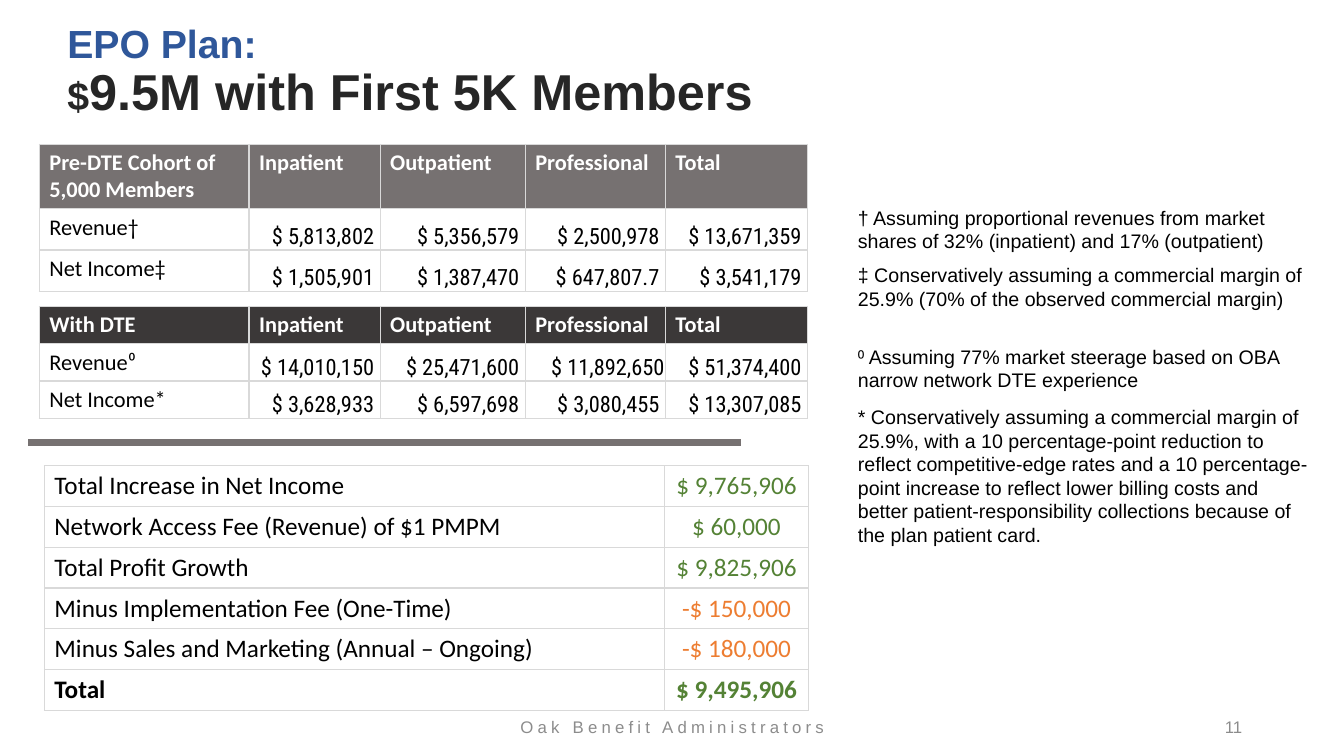
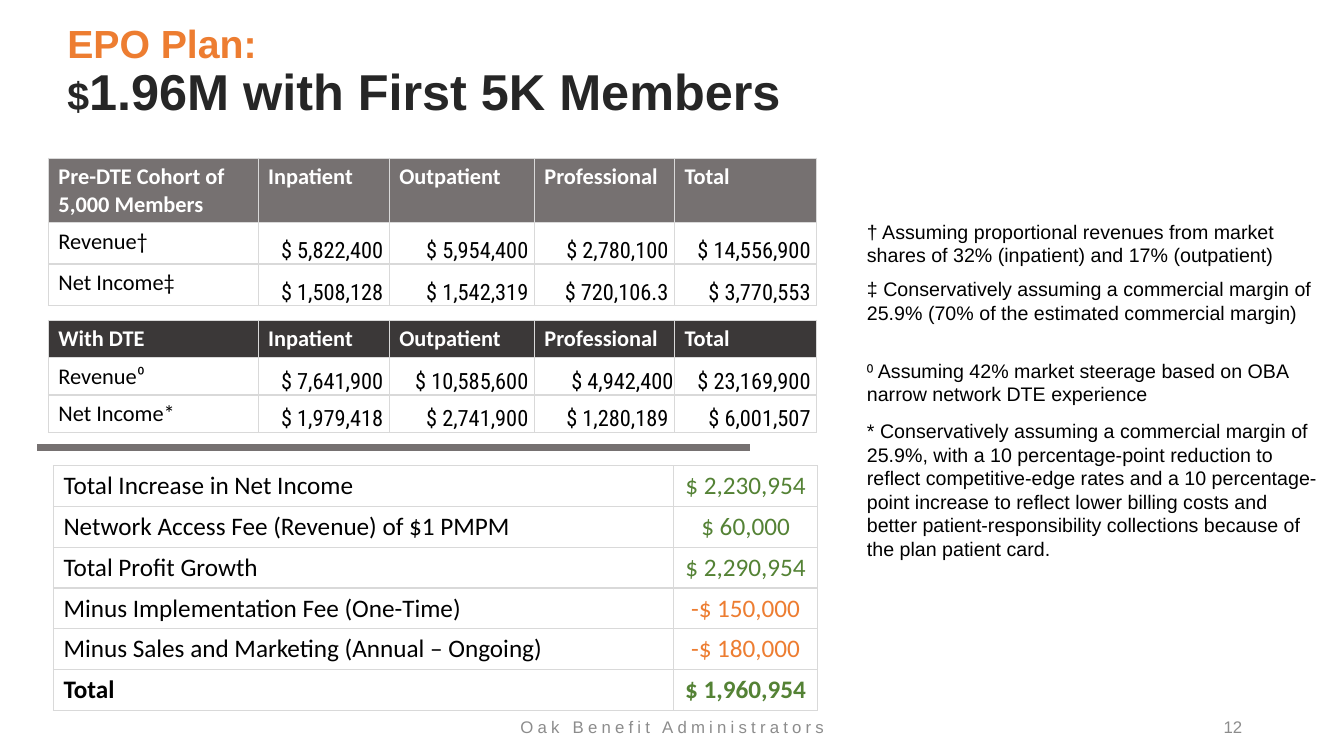
from lxml.etree import SubElement
from pptx import Presentation
from pptx.dml.color import RGBColor
from pptx.enum.shapes import MSO_CONNECTOR
from pptx.enum.text import MSO_ANCHOR, MSO_AUTO_SIZE, PP_ALIGN
from pptx.oxml import parse_xml
from pptx.oxml.ns import nsdecls, qn
from pptx.util import Inches, Pt

BLACK, WHITE, INK = "000000", "FFFFFF", "262626"
GRAY, CHARCOAL, BORDER, MUTED = "767171", "3B3838", "D9D9D9", "8C8C8C"
BLUE, ORANGE, GREEN = "2F579A", "ED7D31", "548235"
BODY, TABLE, FIGURES = "Arial", "Calibri", "Roboto Condensed"


def rgb(color):
    return RGBColor.from_string(color)


class Deck:
    def __init__(self):
        self.prs = Presentation()
        self.prs.slide_width, self.prs.slide_height = Inches(13.33), Inches(7.5)
        self.s = None

    def new_slide(self):
        self.s = self.prs.slides.add_slide(self.prs.slide_layouts[6])

    def run(self, p, text, size, color=BLACK, font=BODY, bold=False, spacing=None):
        r = p.add_run()
        r.text = text
        r.font.size, r.font.name, r.font.bold = Pt(size), font, bold
        r.font.color.rgb = rgb(color)
        if spacing:
            r.font._element.set("spc", str(spacing * 100))

    def box(self, x, y, w, h, align=PP_ALIGN.LEFT, anchor=MSO_ANCHOR.MIDDLE):
        tf = self.s.shapes.add_textbox(Inches(x), Inches(y), Inches(w), Inches(h)).text_frame
        tf.word_wrap = True
        tf.vertical_anchor = anchor
        p = tf.paragraphs[0]
        p.alignment = align
        return tf, p

    def title(self, amount, accent):
        _, p = self.box(0.57, 0, 12.56, 1.45)
        p.line_spacing = 0.9
        self.run(p, "EPO Plan:", 28, accent, bold=True)
        p.add_line_break()
        self.run(p, "$", 28, INK, bold=True)
        self.run(p, f"{amount} with First 5K Members", 36, INK, bold=True)

    def footer(self, number):
        _, p = self.box(4.42, 7.08, 4.5, 0.27, PP_ALIGN.CENTER)
        self.run(p, "Oak Benefit Administrators", 12, MUTED, spacing=3)
        _, p = self.box(9.42, 7.08, 3, 0.27, PP_ALIGN.RIGHT)
        self.run(p, str(number), 12, MUTED)

    def note(self, x, y, h, text):
        tf, p = self.box(x, y, 4.72, h, anchor=MSO_ANCHOR.TOP)
        tf.auto_size = MSO_AUTO_SIZE.SHAPE_TO_FIT_TEXT
        self.run(p, text, 14)

    def rule(self, x, y):
        line = self.s.shapes.add_connector(
            MSO_CONNECTOR.STRAIGHT, Inches(x), Inches(y), Inches(x + 7.07), Inches(y))
        line.line.color.rgb = rgb(GRAY)
        line.line.width = Pt(4.5)
        SubElement(line._element.spPr, qn("a:effectLst"))

    def grid(self, x, y, cols, rows):
        tbl = self.s.shapes.add_table(len(rows), len(cols), Inches(x), Inches(y),
                                      Inches(sum(cols)), Inches(sum(rows))).table
        tbl.first_row = tbl.horz_banding = False
        for col, w in zip(tbl.columns, cols):
            col.width = Inches(w)
        for row, h in zip(tbl.rows, rows):
            row.height = Inches(h)
        return tbl

    def cell(self, cell, text, size, color=BLACK, font=TABLE, bold=False,
             align=PP_ALIGN.LEFT, fill=None):
        if fill:
            cell.fill.solid()
            cell.fill.fore_color.rgb = rgb(fill)
        else:
            cell.fill.background()
        # Borders come before the fill in the cell properties
        for i, side in enumerate("LRTB"):
            cell._tc.get_or_add_tcPr().insert(i, parse_xml(
                f'<a:ln{side} {nsdecls("a")} w="12700"><a:solidFill>'
                f'<a:srgbClr val="{BORDER}"/></a:solidFill></a:ln{side}>'))
        p = cell.text_frame.paragraphs[0]
        p.alignment = align
        self.run(p, text, size, color, font, bold)

    def cohort_table(self, x, y, heights, fill, heading, rows, flush=None):
        """Figures by care setting; flush is the (row, column) set tight to its edge."""
        tbl = self.grid(x, y, [2.08, 1.3, 1.44, 1.39, 1.41], heights)
        header = [heading, "Inpatient", "Outpatient", "Professional", "Total"]
        for c, text in enumerate(header):
            self.cell(tbl.cell(0, c), text, 16, WHITE, bold=True, fill=fill)
        for r, (label, *figures) in enumerate(rows, 1):
            self.cell(tbl.cell(r, 0), label, 16)
            for c, figure in enumerate(figures, 1):
                cell = tbl.cell(r, c)
                cell.vertical_anchor = MSO_ANCHOR.BOTTOM
                cell.margin_left = cell.margin_top = Inches(0.01)
                cell.margin_right = Inches(0.01 if (r, c) == flush else 0.06)
                cell.margin_bottom = 0
                self.cell(cell, f"$ {figure}", 16, font=FIGURES, align=PP_ALIGN.RIGHT)

    def summary_table(self, x, y, rows):
        tbl = self.grid(x, y, [6.15, 1.43], [0.405] * len(rows))
        for r, (label, amount) in enumerate(rows):
            bold = label == "Total"
            color = ORANGE if amount.startswith("-") else GREEN
            self.cell(tbl.cell(r, 0), label, 18, bold=bold)
            self.cell(tbl.cell(r, 1), amount, 18, color, bold=bold, align=PP_ALIGN.CENTER)


def plan_slide(deck, number, amount, accent, dx, dy, rule_y, before, after,
               increase, growth, total, margin_basis, steerage):
    deck.new_slide()
    deck.footer(number)

    # Revenue and income before and with DTE
    labels = [("Revenue†", "Net Income‡"), ("Revenue⁰", "Net Income*")]
    pre_rows, dte_rows = [[(label, *figures) for label, figures in zip(names, data)]
                          for names, data in zip(labels, (before, after))]
    deck.cohort_table(0.39 + dx, 1.43 + dy, [0.64, 0.41, 0.41], GRAY,
                      "Pre-DTE Cohort of 5,000 Members", pre_rows)
    deck.cohort_table(0.39 + dx, 3.04 + dy, [0.37] * 3, CHARCOAL,
                      "With DTE", dte_rows, flush=(1, 3))

    # Profit summary
    deck.rule(0.28 + dx, rule_y)
    deck.summary_table(0.44 + dx, 4.62, [
        ("Total Increase in Net Income", increase),
        ("Network Access Fee (Revenue) of $1 PMPM", "$ 60,000"),
        ("Total Profit Growth", growth),
        ("Minus Implementation Fee (One-Time)", "-$ 150,000"),
        ("Minus Sales and Marketing (Annual – Ongoing)", "-$ 180,000"),
        ("Total", total),
    ])

    # Assumptions
    for y, h, text in [
        (1.99, 0.57, "† Assuming proportional revenues from market shares of 32% (inpatient) "
                     "and 17% (outpatient)"),
        (2.56, 0.57, "‡ Conservatively assuming a commercial margin of 25.9% "
                     f"(70% of the {margin_basis} commercial margin)"),
        (3.37, 0.57, f"⁰ Assuming {steerage} market steerage based on OBA narrow network "
                     "DTE experience"),
        (3.97, 1.51, "* Conservatively assuming a commercial margin of 25.9%, with a "
                     "10 percentage-point reduction to reflect competitive-edge rates and a "
                     "10 percentage-point increase to reflect lower billing costs and better "
                     "patient-responsibility collections because of the plan patient card."),
    ]:
        deck.note(8.41 + dx, y + dy, h, text)
    deck.title(amount, accent)


def main():
    deck = Deck()
    plan_slide(
        deck, 11, "9.5M", BLUE, dx=0, dy=0, rule_y=4.39,
        before=[("5,813,802", "5,356,579", "2,500,978", "13,671,359"),
                ("1,505,901", "1,387,470", "647,807.7", "3,541,179")],
        after=[("14,010,150", "25,471,600", "11,892,650", "51,374,400"),
               ("3,628,933", "6,597,698", "3,080,455", "13,307,085")],
        increase="$ 9,765,906", growth="$ 9,825,906", total="$ 9,495,906",
        margin_basis="observed", steerage="77%")
    plan_slide(
        deck, 12, "1.96M", ORANGE, dx=0.09, dy=0.14, rule_y=4.44,
        before=[("5,822,400", "5,954,400", "2,780,100", "14,556,900"),
                ("1,508,128", "1,542,319", "720,106.3", "3,770,553")],
        after=[("7,641,900", "10,585,600", "4,942,400", "23,169,900"),
               ("1,979,418", "2,741,900", "1,280,189", "6,001,507")],
        increase="$ 2,230,954", growth="$ 2,290,954", total="$ 1,960,954",
        margin_basis="estimated", steerage="42%")
    deck.prs.save("out.pptx")


if __name__ == "__main__":
    main()
